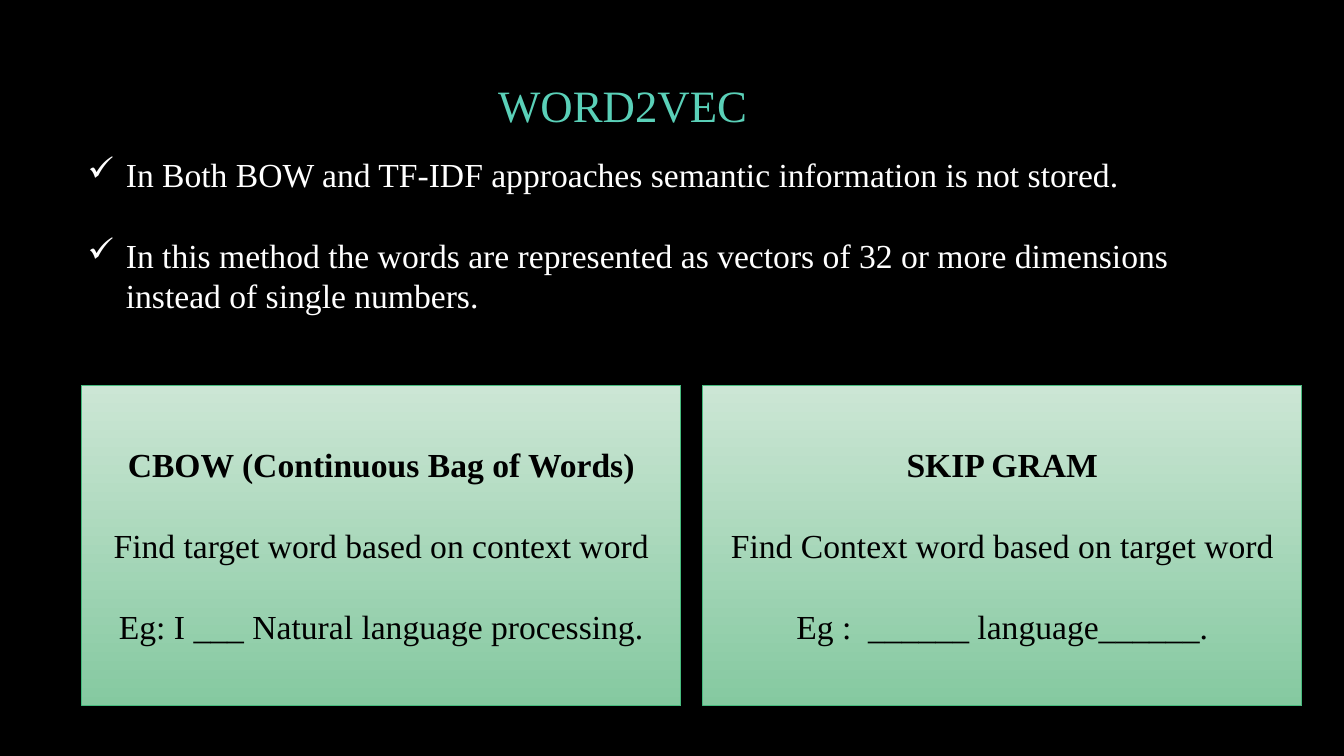
from dataclasses import dataclass
from typing import NamedTuple

from lxml import etree
from pptx import Presentation
from pptx import util as u
from pptx.dml.color import RGBColor as Rgb
from pptx.enum import shapes, text
from pptx.oxml import ns


class Area(NamedTuple):
    left: float
    top: float
    width: float
    height: float


@dataclass(frozen=True)
class Theme:
    font: str = "Times New Roman"
    back: str = "000000"
    title: str = "5AD0B8"
    light: str = "FFFFFF"
    dark: str = "000000"
    edge: str = "47BB7E"
    fade: tuple[str, str] = ("CCE6D5", "85C9A0")
    head: int = 32
    body: int = 24
    gap: int = 29


@dataclass(frozen=True)
class Card:
    left: float
    lines: tuple[str, ...]


THEME = Theme()
WIDE, HIGH = u.Inches(13.33), u.Inches(7.5)
TITLE = Area(36.31, 2.8, 25.58, 22.13)
NOTES = Area(5.78, 19.73, 88.45, 22.93)
POINTS = (
    "In Both BOW and TF-IDF approaches semantic information is not stored.",
    "In this method the words are represented as vectors of 32 or more dimensions "
    "instead of single numbers.",
)
CARDS = (
    Card(6.08, (
        "CBOW (Continuous Bag of Words)",
        "Find target word based on context word",
        "Eg: I ___ Natural language processing.",
    )),
    Card(52.29, (
        "SKIP GRAM",
        "Find Context word based on target word",
        "Eg :  ______ language______.",
    )),
)


def place(area: Area) -> tuple[int, ...]:
    spans = (WIDE, HIGH, WIDE, HIGH)
    return tuple(round(span * part / 100) for span, part in zip(spans, area))


def style(para, size: int, color: str, bold: bool = False) -> None:
    for run in para.runs:
        run.font.name = THEME.font
        run.font.size = u.Pt(size)
        run.font.bold = bold
        run.font.color.rgb = Rgb.from_string(color)


def write(frame, lines: tuple[str, ...], color: str) -> None:
    frame.word_wrap = True
    frame.text = "\n".join(lines)
    for para in frame.paragraphs:
        style(para, THEME.body, color)
    for para in frame.paragraphs[1:]:
        para.space_before = u.Pt(THEME.gap)


def tick(para) -> None:
    props = para._p.get_or_add_pPr()
    dent = u.Inches(0.38)
    props.set("marL", str(dent))
    props.set("indent", str(-dent))
    etree.SubElement(props, ns.qn("a:buChar"), char="✓")


def add_title(slide) -> None:
    title = slide.shapes.title
    title.left, title.top, title.width, title.height = place(TITLE)
    frame = title.text_frame
    frame.text = "WORD2VEC"
    frame.vertical_anchor = text.MSO_ANCHOR.MIDDLE
    para = frame.paragraphs[0]
    para.alignment = text.PP_ALIGN.LEFT
    style(para, THEME.head, THEME.title)


def add_notes(slide) -> None:
    frame = slide.shapes.add_textbox(*place(NOTES)).text_frame
    write(frame, POINTS, THEME.light)
    for para in frame.paragraphs:
        tick(para)


def add_card(slide, card: Card) -> None:
    area = Area(card.left, 50.93, 44.56, 42.4)
    box = slide.shapes.add_shape(shapes.MSO_SHAPE.RECTANGLE, *place(area))
    box.shadow.inherit = False
    box.fill.gradient()
    box.fill.gradient_angle = 270
    for stop, color, spot in zip(box.fill.gradient_stops, THEME.fade, (0, 1)):
        stop.color.rgb = Rgb.from_string(color)
        stop.position = spot
    box.line.color.rgb = Rgb.from_string(THEME.edge)
    box.line.width = u.Pt(0.75)
    frame = box.text_frame
    write(frame, card.lines, THEME.dark)
    frame.vertical_anchor = text.MSO_ANCHOR.MIDDLE
    for para in frame.paragraphs:
        para.alignment = text.PP_ALIGN.CENTER
    style(frame.paragraphs[0], THEME.body, THEME.dark, bold=True)


def main() -> None:
    deck = Presentation()
    deck.slide_width, deck.slide_height = WIDE, HIGH
    slide = deck.slides.add_slide(deck.slide_layouts[5])
    slide.background.fill.solid()
    slide.background.fill.fore_color.rgb = Rgb.from_string(THEME.back)
    add_title(slide)
    add_notes(slide)
    for card in CARDS:
        add_card(slide, card)
    deck.save("out.pptx")


if __name__ == "__main__":
    main()
